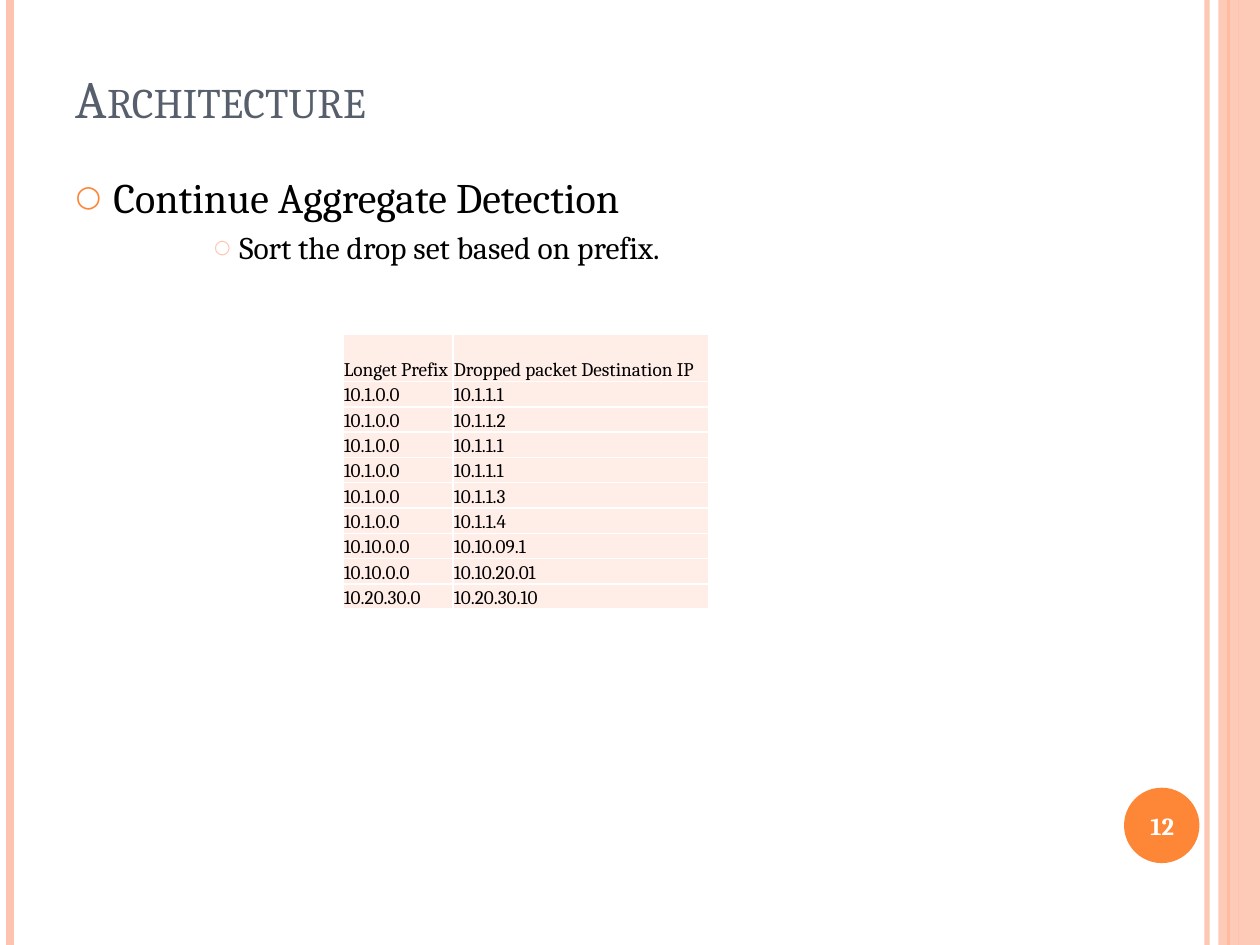
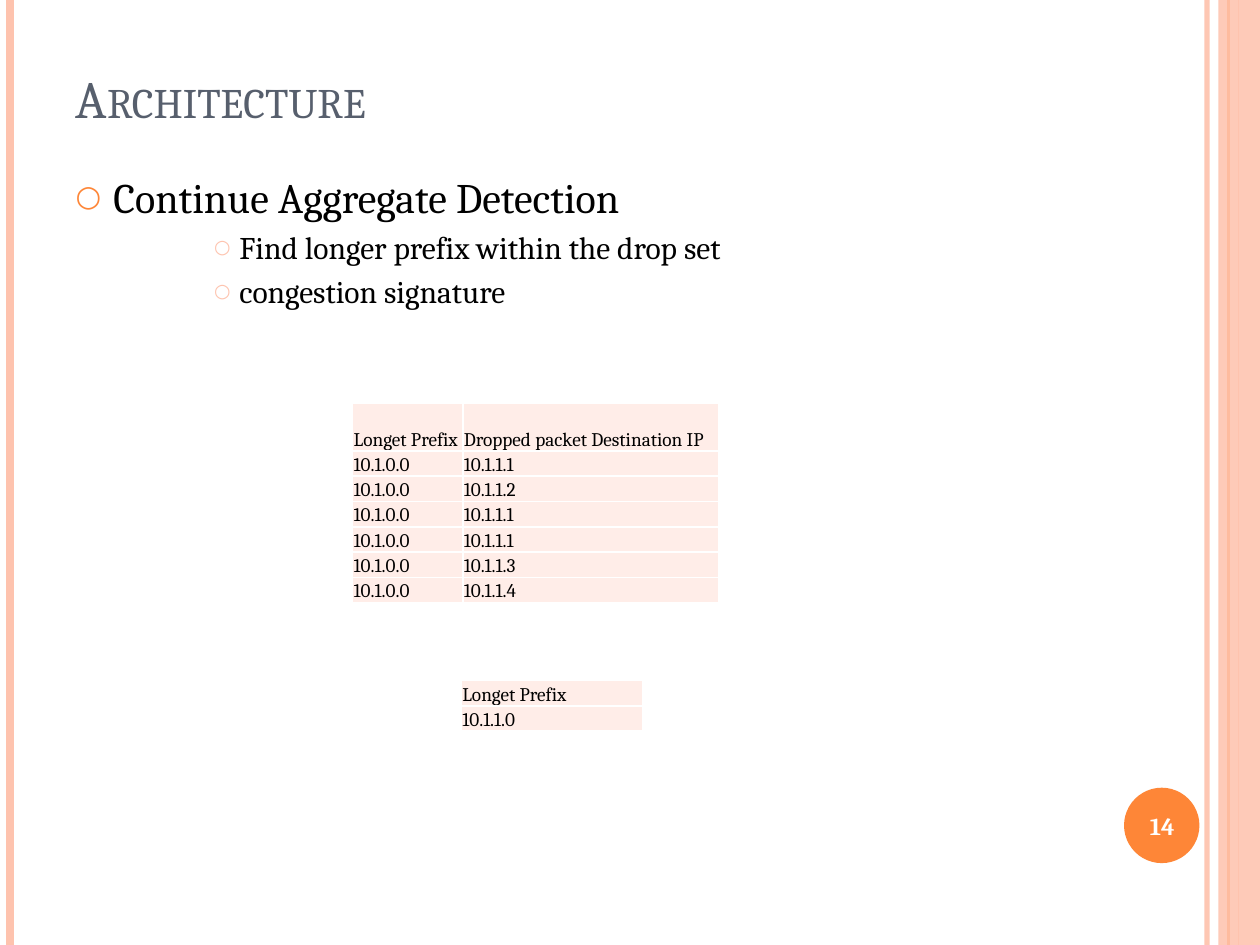
"""Builds two architecture slides about aggregate detection."""
from dataclasses import dataclass

import lxml.etree
import pptx
import pptx.dml.color
import pptx.enum.shapes
import pptx.enum.text
import pptx.oxml.ns
import pptx.util

Cm = pptx.util.Cm
Pt = pptx.util.Pt
qn = pptx.oxml.ns.qn
ANCHOR = pptx.enum.text.MSO_ANCHOR
ALIGN = pptx.enum.text.PP_ALIGN
SHAPE = pptx.enum.shapes.MSO_SHAPE


@dataclass(frozen=True)
class Theme:
    """Colours, font and type sizes of the deck."""
    font: str = "Cambria"
    accent: str = "FE8637"
    pale: str = "FEC3AE"
    cell: str = "FFEDE8"
    heading: str = "575F6D"
    ink: str = "000000"
    paper: str = "FFFFFF"
    title_size: float = 30
    topic_size: float = 24
    point_size: float = 18
    number_size: float = 14
    cell_size: float = 11


@dataclass(frozen=True)
class Box:
    """A region in centimetres."""
    left: float
    top: float
    width: float
    height: float

    def lengths(self):
        """Return left, top, width and height as lengths."""
        return [Cm(n) for n in (self.left, self.top, self.width, self.height)]


THEME = Theme()
PAGE = Box(0, 0, 25.4, 19.05)
TITLE = Box(1.27, 0.76, 20.75, 1.96)
BODY = Box(1.27, 3.33, 20.75, 14.66)
BADGE = Box(22.66, 15.88, 1.52, 1.52)
HEADER_HEIGHT, ROW_HEIGHT = 0.96, 0.51
PAIR_WIDTHS = (2.22, 5.15)


def rgb(colour):
    """Turn a hex string into a colour."""
    return pptx.dml.color.RGBColor.from_string(colour)


def assign(target, values):
    """Set each named attribute of the target."""
    for name, value in values.items():
        setattr(target, name, value)


def add_child(parent, tag, **attributes):
    """Append a DrawingML element and return it."""
    return lxml.etree.SubElement(parent, qn(tag), attributes)


def write(para, text, size, colour, **formats):
    """Add a formatted span of text to a paragraph."""
    span = para.add_run()
    span.text = text
    assign(span.font, {"name": THEME.font, "size": Pt(size), **formats})
    span.font.color.rgb = rgb(colour)
    return span


def set_opacity(element, percent):
    """Make the first solid colour below an element translucent."""
    colour = next(element.iter(qn("a:srgbClr")))
    add_child(colour, "a:alpha", val=str(percent * 1000))


def add_rule(page, box, offset, colour, weight, opacity=100):
    """Draw a vertical line through the box, offset from its left edge."""
    x = Cm(box.left + offset)
    rule = page.shapes.add_connector(
        pptx.enum.shapes.MSO_CONNECTOR.STRAIGHT,
        x, Cm(box.top), x, Cm(box.top + box.height))
    rule.line.color.rgb = rgb(colour)
    rule.line.width = Pt(weight)
    properties = rule._element.spPr
    if opacity < 100:
        set_opacity(properties, opacity)
    add_child(properties, "a:effectLst")


def add_plain_shape(page, kind, box, colour):
    """Add a filled shape with neither outline nor shadow."""
    shape = page.shapes.add_shape(kind, *box.lengths())
    shape.shadow.inherit = False
    shape.fill.solid()
    shape.fill.fore_color.rgb = rgb(colour)
    shape.line.fill.background()
    return shape


def add_frame(page, box):
    """Draw the bands and rules along both sides of the page."""
    add_rule(page, box, 24.33, THEME.pale, 3, opacity=93)
    add_rule(page, box, 0.2, THEME.pale, 4.5)
    add_rule(page, box, 24.77, THEME.accent, 1.5)
    band = Box(box.left + box.width - 0.84, box.top, 0.84, box.height)
    shape = add_plain_shape(page, SHAPE.RECTANGLE, band, THEME.pale)
    set_opacity(shape._element.spPr, 87)
    add_rule(page, box, 24.97, THEME.pale, 0.75)


def add_badge(page, box, number):
    """Draw the round page number."""
    add_plain_shape(page, SHAPE.OVAL, box, THEME.accent)
    label = Box(box.left - 0.08, box.top + 0.05, box.width + 0.18, 1.45)
    frame = page.shapes.add_textbox(*label.lengths()).text_frame
    assign(frame, {"word_wrap": True, "vertical_anchor": ANCHOR.MIDDLE})
    para = frame.paragraphs[0]
    para.alignment = ALIGN.CENTER
    write(para, str(number), THEME.number_size, THEME.paper, bold=True)


def place(holder, box, anchor):
    """Move a placeholder to the box and return its text frame."""
    names = ("left", "top", "width", "height")
    assign(holder, dict(zip(names, box.lengths())))
    frame = holder.text_frame
    assign(frame, {"word_wrap": True, "vertical_anchor": anchor,
                   "auto_size": pptx.enum.text.MSO_AUTO_SIZE.NONE})
    return frame


def fill_title(page, box, text):
    """Write the title in small capitals."""
    para = place(page.shapes.title, box, ANCHOR.BOTTOM).paragraphs[0]
    para.alignment = ALIGN.LEFT
    span = write(para, text, THEME.title_size, THEME.heading)
    span.font._element.set("cap", "small")


def set_bullet(para, indent, hang, colour, percent):
    """Give a paragraph a hanging ring bullet."""
    properties = para._p.get_or_add_pPr()
    properties.set("marL", str(Cm(indent)))
    properties.set("indent", str(-Cm(hang)))
    add_child(add_child(properties, "a:buClr"), "a:srgbClr", val=colour)
    add_child(properties, "a:buSzPct", val=str(percent * 1000))
    add_child(properties, "a:buFont", typeface=THEME.font)
    add_child(properties, "a:buChar", char="○")


def fill_body(page, box, topic, points):
    """Write a topic and the points below it."""
    frame = place(page.placeholders[1], box, ANCHOR.TOP)
    para = frame.paragraphs[0]
    para.space_before = Pt(6)
    set_bullet(para, 0.76, 0.76, THEME.accent, 70)
    write(para, topic, THEME.topic_size, THEME.ink)
    for point in points:
        para = frame.add_paragraph()
        para.level = 3
        set_bullet(para, 3.3, 0.51, THEME.pale, 60)
        write(para, point, THEME.point_size, THEME.ink)


def format_cell(cell, text):
    """Fill, border and write one table cell."""
    assign(cell, {"margin_left": Cm(0.02), "margin_right": Cm(0.02),
                  "margin_top": Cm(0.02), "margin_bottom": 0,
                  "vertical_anchor": ANCHOR.BOTTOM})
    cell.fill.solid()
    cell.fill.fore_color.rgb = rgb(THEME.cell)
    write(cell.text_frame.paragraphs[0], text, THEME.cell_size, THEME.ink)
    properties = cell._tc.get_or_add_tcPr()
    for position, side in enumerate("LRTB"):
        border = add_child(properties, f"a:ln{side}", w=str(Pt(1)))
        fill = add_child(border, "a:solidFill")
        add_child(fill, "a:srgbClr", val=THEME.paper)
        properties.insert(position, border)


def add_grid(page, left, top, widths, rows, header_height=ROW_HEIGHT):
    """Add a table whose first row may be taller than the others."""
    heights = [header_height] + [ROW_HEIGHT] * (len(rows) - 1)
    box = Box(left, top, sum(widths), sum(heights))
    table = page.shapes.add_table(
        len(rows), len(widths), *box.lengths()).table
    assign(table, {"first_row": False, "horz_banding": False})
    for column, width in zip(table.columns, widths):
        column.width = Cm(width)
    for row, height, texts in zip(table.rows, heights, rows):
        row.height = Cm(height)
        for cell, text in zip(row.cells, texts):
            format_cell(cell, text)


def add_page(deck, number, points):
    """Add a page with the shared frame, title and topic."""
    page = deck.slides.add_slide(deck.slide_layouts[1])
    add_frame(page, PAGE)
    fill_title(page, TITLE, "Architecture")
    fill_body(page, BODY, "Continue Aggregate Detection", points)
    add_badge(page, BADGE, number)
    return page


HEADER = [("Longet Prefix", "Dropped packet Destination IP")]
CONGESTED = [("10.1.0.0", f"10.1.1.{host}") for host in (1, 2, 1, 1, 3, 4)]
OTHERS = [("10.10.0.0", "10.10.09.1"), ("10.10.0.0", "10.10.20.01"),
          ("10.20.30.0", "10.20.30.10")]

deck = pptx.Presentation()
assign(deck, {"slide_width": Cm(PAGE.width), "slide_height": Cm(PAGE.height)})

sorting = add_page(deck, 12, ["Sort the drop set based on prefix."])
add_grid(sorting, 6.91, 6.73, PAIR_WIDTHS, HEADER + CONGESTED + OTHERS,
         HEADER_HEIGHT)

signature = add_page(deck, 14, ["Find longer prefix within the drop set",
                                "congestion signature"])
add_grid(signature, 7.11, 8.13, PAIR_WIDTHS, HEADER + CONGESTED, HEADER_HEIGHT)
add_grid(signature, 9.3, 13.72, (3.66,), [("Longet Prefix",), ("10.1.1.0",)])

deck.save("out.pptx")
